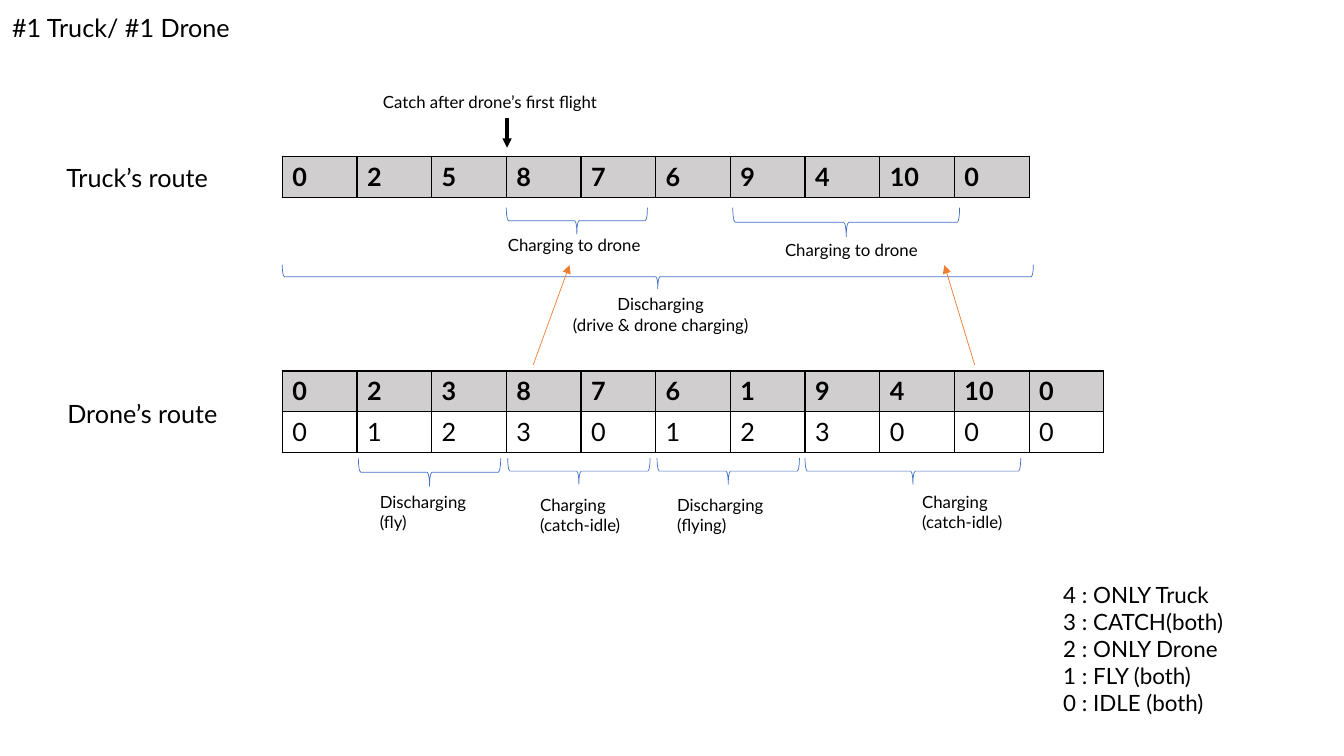
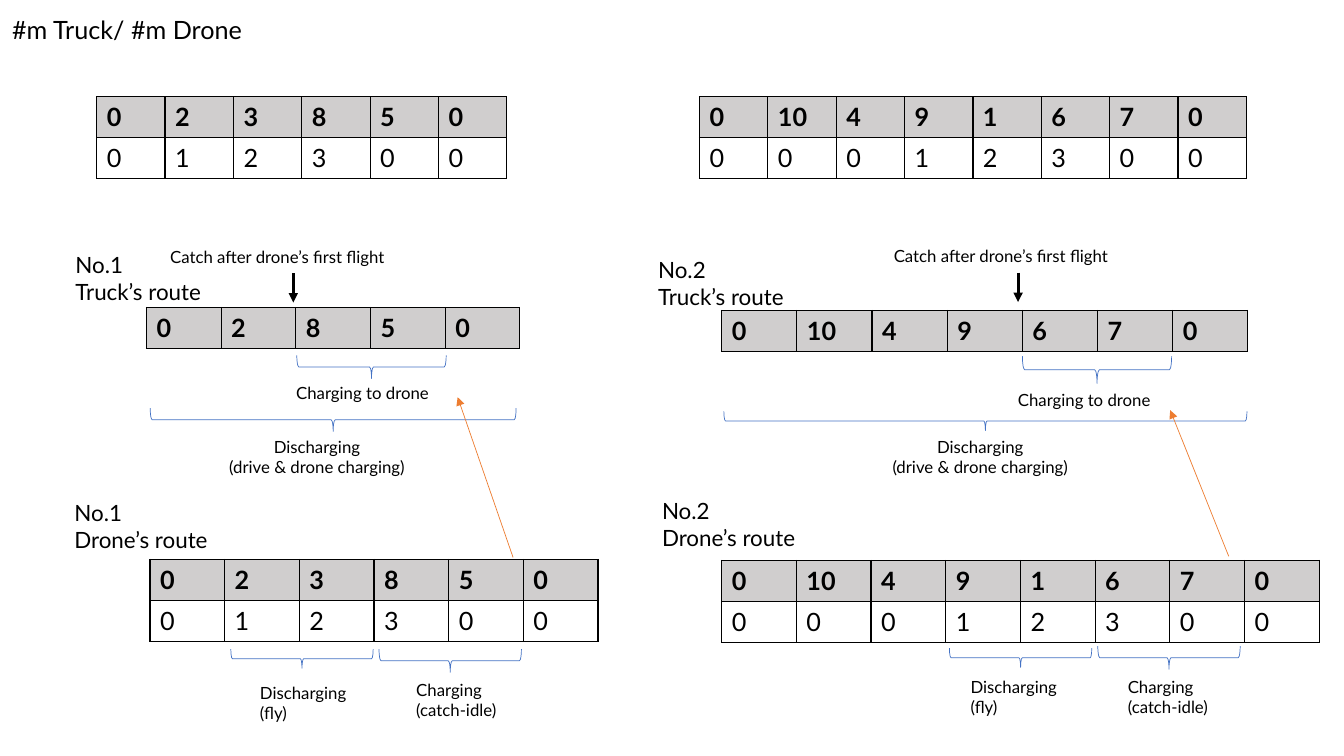
from dataclasses import dataclass

from lxml.etree import SubElement
from pptx import Presentation
from pptx.dml.color import RGBColor
from pptx.enum.shapes import MSO_CONNECTOR, MSO_SHAPE
from pptx.enum.text import MSO_ANCHOR, PP_ALIGN
from pptx.oxml.ns import qn
from pptx.slide import Slide
from pptx.table import _Cell
from pptx.text.text import TextFrame
from pptx.util import Pt


@dataclass(frozen=True)
class Theme:
    font: str = "Lato"
    ink: RGBColor = RGBColor(0x00, 0x00, 0x00)
    header: RGBColor = RGBColor(0xD0, 0xCE, 0xCE)
    brace: RGBColor = RGBColor(0x44, 0x72, 0xC4)
    link: RGBColor = RGBColor(0xED, 0x7D, 0x31)
    title_size: float = 18
    legend_size: float = 16
    note_size: float = 12
    hairline: float = 0.5
    border: float = 1
    heavy: float = 2.25


THEME = Theme()
ROW_HEIGHT = 29.2
COLUMN = 53.35


@dataclass(frozen=True)
class Wording:
    text: str
    width: float
    size: float = THEME.note_size
    align: PP_ALIGN = PP_ALIGN.LEFT


@dataclass(frozen=True)
class Label:
    wording: Wording
    left: float
    top: float


@dataclass(frozen=True)
class Brace:
    """A brace under `count` columns, moved right by `shift` and narrowed by `trim`."""
    first: int
    count: int
    top: float
    depth: float
    shift: float = 0
    trim: float = 5


@dataclass(frozen=True)
class Route:
    left: float
    top: float
    stops: str
    states: str = ""
    braces: tuple[Brace, ...] = ()
    column: float = COLUMN


@dataclass(frozen=True)
class Arrow:
    start: tuple[float, float]
    end: tuple[float, float]
    color: RGBColor = THEME.link
    weight: float = THEME.hairline


@dataclass(frozen=True)
class Scene:
    title: Label
    routes: tuple[Route, ...]
    labels: tuple[Label, ...]
    arrows: tuple[Arrow, ...]


def title(text: str, top: float) -> Label:
    return Label(Wording(text, 214, THEME.title_size), 1.5, top)


def route_name(text: str, size: float = THEME.title_size) -> Wording:
    return Wording(text, 140, size)


def numbered_name(number: int, vehicle: str) -> Wording:
    return route_name(f"No.{number}\n{vehicle}’s route", THEME.legend_size)


def catch_arrow(x: float, top: float) -> Arrow:
    return Arrow((x, top), (x, top + 21), THEME.ink, THEME.heavy)


CATCH = Wording("Catch after drone’s first flight", 198.7)
CHARGING_DRONE = Wording("Charging to drone", 124.6)
DRIVING = Wording("Discharging\n(drive & drone charging)", 164.9, align=PP_ALIGN.CENTER)
FLY = Wording("Discharging\n(fly)", 87)
FLYING = Wording("Discharging\n(flying)", 87)
IDLE = Wording("Charging\n(catch-idle)", 96)
LEGEND = Wording(
    "4 : ONLY Truck\n3 : CATCH(both)\n2 : ONLY Drone\n1 : FLY (both)\n0 : IDLE (both)",
    200, THEME.legend_size,
)

SINGLE_FLEET = Scene(
    title("#1 Truck/ #1 Drone", 5),
    routes=(
        Route(201.6, 111.6, "0 2 5 8 7 6 9 4 10 0", braces=(
            Brace(3, 2, 148.3, 18.7, trim=5.9),
            Brace(6, 3, 148.3, 20.9, shift=1.7, trim=-2),
            Brace(0, 10, 189, 17.3, trim=-3),
        )),
        Route(201.6, 265, "0 2 3 8 7 6 1 9 4 10 0", "0 1 2 3 0 1 2 3 0 0 0", (
            Brace(1, 2, 327.2, 20.2, shift=1),
            Brace(3, 2, 327.2, 18.7, shift=1),
            Brace(5, 2, 327.2, 18.7, shift=1),
            Brace(7, 3, 327.2, 18.7, trim=6),
        )),
    ),
    labels=(
        Label(route_name("Truck’s route"), 40.3, 112.3),
        Label(route_name("Drone’s route"), 41, 280.8),
        Label(CATCH, 266.4, 61.9),
        Label(CHARGING_DRONE, 355.7, 164.2),
        Label(CHARGING_DRONE, 553.7, 167.8),
        Label(DRIVING, 389.5, 206.6),
        Label(FLY, 264.2, 347.8),
        Label(IDLE, 378.7, 349.9),
        Label(FLYING, 476.6, 349.9),
        Label(IDLE, 651.6, 347.8),
        Label(LEGEND, 752.4, 411.8),
    ),
    arrows=(
        Arrow((696.2, 260.6), (674.6, 189.4)),
        Arrow((380.9, 260.6), (406.8, 189.4)),
        catch_arrow(362.2, 84.5),
    ),
)

MANY_FLEETS = Scene(
    title("#m Truck/ #m Drone", 6.5),
    routes=(
        Route(69.1, 69.1, "0 2 3 8 5 0", "0 1 2 3 0 0", column=48.84),
        Route(499.7, 69.1, "0 10 4 9 1 6 7 0", "0 0 0 1 2 3 0 0", column=48.84),
        Route(104.6, 219.6, "0 2 8 5 0", braces=(
            Brace(2, 2, 253.8, 16.6, shift=0.7, trim=0),
            Brace(0, 5, 291.6, 16.6, shift=2.7, trim=5.4),
        )),
        Route(107.1, 399.6, "0 2 3 8 5 0", "0 1 2 3 0 0", (
            Brace(1, 2, 463.7, 13.7, shift=4.4),
            Brace(3, 2, 463.7, 16.6, shift=3.6),
        )),
        Route(515.5, 221.8, "0 10 4 9 6 7 0", column=53.7, braces=(
            Brace(4, 2, 254.5, 19.4, trim=0.8),
            Brace(0, 7, 293.8, 13.7, shift=1.5, trim=2.2),
        )),
        Route(515.5, 400.3, "0 10 4 9 1 6 7 0", "0 0 0 1 2 3 0 0", (
            Brace(3, 2, 463, 13.7, shift=2.6),
            Brace(5, 2, 461.5, 16.6, shift=1.9),
        )),
    ),
    labels=(
        Label(numbered_name(1, "Truck"), 46.8, 175.7),
        Label(numbered_name(1, "Drone"), 46.1, 352.8),
        Label(CATCH, 114.5, 172.8),
        Label(CHARGING_DRONE, 204.5, 270),
        Label(DRIVING, 144, 308.2),
        Label(FLY, 178.6, 483.8),
        Label(IDLE, 290.2, 481.7),
        Label(numbered_name(2, "Truck"), 463, 179.3),
        Label(numbered_name(2, "Drone"), 465.8, 351.4),
        Label(CATCH, 631.4, 172.1),
        Label(CHARGING_DRONE, 720, 275),
        Label(DRIVING, 617.8, 308.2),
        Label(FLY, 686.2, 479.5),
        Label(IDLE, 798.5, 479.5),
    ),
    arrows=(
        Arrow((366.5, 398.2), (326.9, 283.7)),
        catch_arrow(209.5, 195.1),
        Arrow((877.7, 397.4), (835.9, 293)),
        catch_arrow(727.2, 194.8),
    ),
)


def write(frame: TextFrame, text: str, size: float,
          align: PP_ALIGN = PP_ALIGN.LEFT, bold: bool = False) -> None:
    frame.text = text
    for paragraph in frame.paragraphs:
        paragraph.alignment = align
        paragraph.font.name = THEME.font
        paragraph.font.size = Pt(size)
        paragraph.font.bold = bold
        paragraph.font.color.rgb = THEME.ink


def draw_label(slide: Slide, label: Label) -> None:
    wording = label.wording
    lines = wording.text.count("\n") + 1
    box = slide.shapes.add_textbox(
        Pt(label.left), Pt(label.top), Pt(wording.width), Pt(lines * wording.size * 1.2 + 7.2))
    box.text_frame.word_wrap = True
    write(box.text_frame, wording.text, wording.size, wording.align)


def add_borders(cell: _Cell) -> None:
    properties = cell._tc.get_or_add_tcPr()
    for side in ("lnL", "lnR", "lnT", "lnB"):
        line = SubElement(properties, qn(f"a:{side}"), w=str(Pt(THEME.border)))
        fill = SubElement(line, qn("a:solidFill"))
        SubElement(fill, qn("a:srgbClr"), val=str(THEME.ink))


def draw_route(slide: Slide, route: Route) -> None:
    rows = [row.split() for row in (route.stops, route.states) if row]
    count = len(rows[0])
    table = slide.shapes.add_table(
        len(rows), count, Pt(route.left), Pt(route.top),
        Pt(count * route.column), Pt(len(rows) * ROW_HEIGHT)).table
    table.first_row = table.horz_banding = False
    for column in table.columns:
        column.width = Pt(route.column)
    for r, values in enumerate(rows):
        table.rows[r].height = Pt(ROW_HEIGHT)
        for c, value in enumerate(values):
            cell = table.cell(r, c)
            cell.vertical_anchor = MSO_ANCHOR.TOP
            add_borders(cell)
            if r == 0:
                cell.fill.solid()
                cell.fill.fore_color.rgb = THEME.header
            else:
                cell.fill.background()
            write(cell.text_frame, value, THEME.title_size, bold=r == 0)
    for brace in route.braces:
        draw_brace(slide, route, brace)


def draw_brace(slide: Slide, route: Route, brace: Brace) -> None:
    """Turn a right brace by 90° about its centre so that it points down."""
    width = brace.count * route.column - brace.trim
    center_x = route.left + brace.first * route.column + brace.shift + width / 2
    center_y = brace.top + brace.depth / 2
    shape = slide.shapes.add_shape(
        MSO_SHAPE.RIGHT_BRACE, Pt(center_x - brace.depth / 2), Pt(center_y - width / 2),
        Pt(brace.depth), Pt(width))
    shape.rotation = 90
    shape.shadow.inherit = False
    shape.fill.background()
    shape.line.color.rgb = THEME.brace
    shape.line.width = Pt(THEME.hairline)


def draw_arrow(slide: Slide, arrow: Arrow) -> None:
    connector = slide.shapes.add_connector(
        MSO_CONNECTOR.STRAIGHT, *(Pt(length) for length in arrow.start + arrow.end))
    connector.line.color.rgb = arrow.color
    connector.line.width = Pt(arrow.weight)
    SubElement(connector.line._get_or_add_ln(), qn("a:tailEnd"), type="triangle")
    SubElement(connector._element.spPr, qn("a:effectLst"))


def draw_scene(slide: Slide, scene: Scene) -> None:
    for route in scene.routes:
        draw_route(slide, route)
    for label in (scene.title, *scene.labels):
        draw_label(slide, label)
    for arrow in scene.arrows:
        draw_arrow(slide, arrow)


def main() -> None:
    deck = Presentation()
    deck.slide_width, deck.slide_height = Pt(960), Pt(540)
    blank = deck.slide_layouts[6]
    for scene in (SINGLE_FLEET, MANY_FLEETS):
        draw_scene(deck.slides.add_slide(blank), scene)
    deck.save("out.pptx")


if __name__ == "__main__":
    main()
